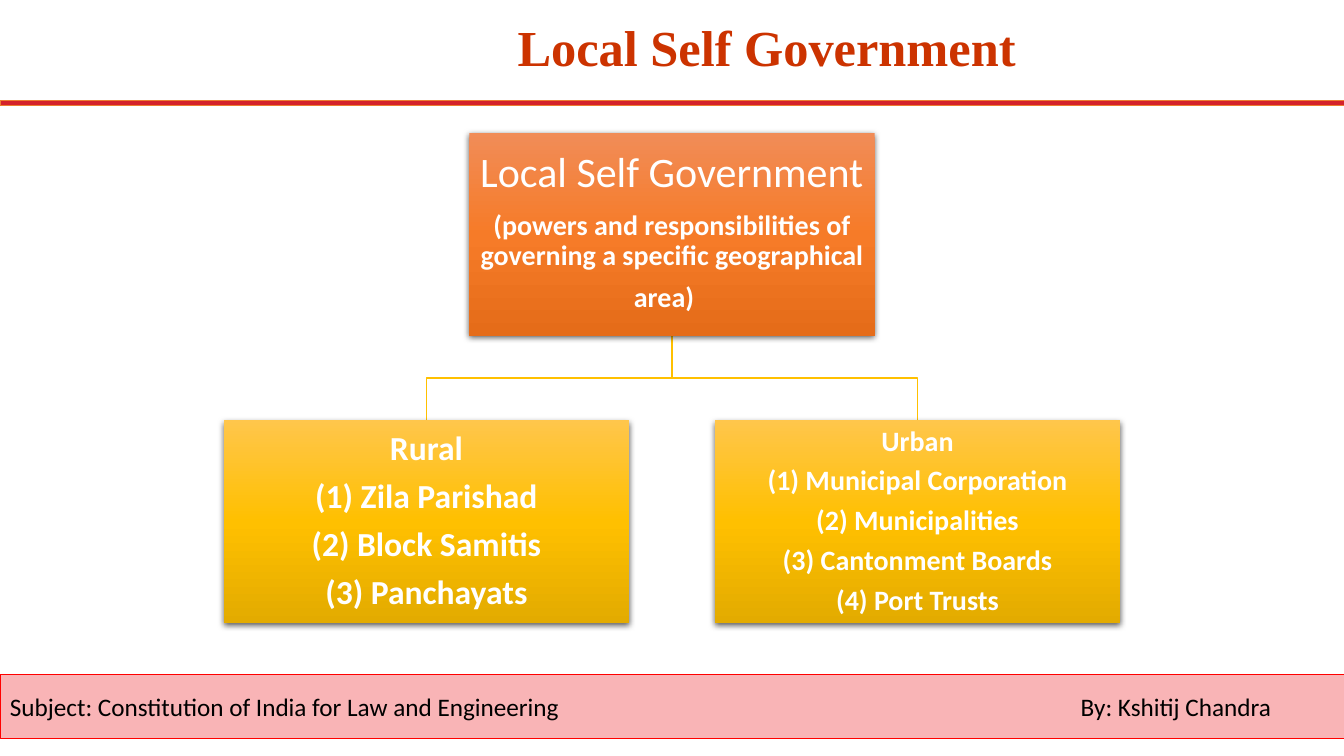
from copy import deepcopy

from lxml import etree
from pptx import Presentation
from pptx.dml.color import RGBColor
from pptx.enum.shapes import MSO_SHAPE
from pptx.enum.text import MSO_ANCHOR, MSO_AUTO_SIZE, PP_ALIGN
from pptx.oxml.ns import qn
from pptx.util import Inches, Pt

RECTANGLE = MSO_SHAPE.RECTANGLE
MIDDLE = MSO_ANCHOR.MIDDLE
NO_AUTOFIT = MSO_AUTO_SIZE.NONE
LEFT, CENTER = PP_ALIGN.LEFT, PP_ALIGN.CENTER

WHITE = RGBColor(0xFF, 0xFF, 0xFF)
BLACK = RGBColor(0x00, 0x00, 0x00)
TITLE_RED = RGBColor(0xCC, 0x33, 0x00)
RULE_RED = RGBColor(0xD4, 0x22, 0x2A)
RULE_EDGE = RGBColor(0xED, 0x7D, 0x31)
FOOTER_PINK = RGBColor(0xF9, 0xB4, 0xB6)
FOOTER_EDGE = RGBColor(0xFF, 0x00, 0x00)
GOLD = RGBColor(0xFF, 0xC0, 0x00)
ORANGE_SHADES = (RGBColor(0xF1, 0x8C, 0x57), RGBColor(0xF6, 0x7B, 0x28), RGBColor(0xE5, 0x6C, 0x19))
GOLD_SHADES = (RGBColor(0xFF, 0xC6, 0x4B), GOLD, RGBColor(0xE3, 0xAB, 0x00))

CARD_WIDTH, CARD_HEIGHT = 30.16, 26.8
ROOT_TOP, BRANCH_TOP = 17.6, 55.6
ROOT_CENTER, RURAL_CENTER, URBAN_CENTER = 50, 31.73, 68.27


class HierarchySlide:
    """Draws the slide's elements, with lengths as percentages of the slide's size."""

    def __init__(self, presentation):
        self.width = presentation.slide_width
        self.height = presentation.slide_height
        self.font = "Calibri"
        self.slide = presentation.slides.add_slide(presentation.slide_layouts[5])

    def across(self, share):
        return round(self.width * share / 100)

    def down(self, share):
        return round(self.height * share / 100)

    def box(self, left, top, width, height):
        return self.across(left), self.down(top), self.across(width), self.down(height)

    def format_paragraph(self, paragraph, size, color, bold=False, align=CENTER, font=None):
        paragraph.alignment = align
        for run in paragraph.runs:
            run.font.name = font or self.font
            run.font.size = Pt(size)
            run.font.bold = bold
            run.font.color.rgb = color

    def title(self, text, left, top, width, height):
        shape = self.slide.shapes.title
        shape.left, shape.top, shape.width, shape.height = self.box(left, top, width, height)
        frame = shape.text_frame
        frame.text = text
        frame.auto_size = NO_AUTOFIT
        frame.vertical_anchor = MIDDLE
        frame.paragraphs[0].line_spacing = 0.9
        self.format_paragraph(frame.paragraphs[0], 36, TITLE_RED, True, font="Times New Roman")

    def band(self, top, height, fill, edge):
        shape = self.slide.shapes.add_shape(RECTANGLE, *self.box(0, top, 100, height))
        shape.shadow.inherit = False
        shape.fill.solid()
        shape.fill.fore_color.rgb = fill
        shape.line.color.rgb = edge
        shape.line.width = Pt(0.5)
        return shape

    def footer(self, subject, author, top, height, author_inches):
        frame = self.band(top, height, FOOTER_PINK, FOOTER_EDGE).text_frame
        frame.vertical_anchor = MIDDLE
        paragraph = frame.paragraphs[0]
        paragraph.text = f"{subject}\t{author}"
        properties = paragraph._p.get_or_add_pPr()
        tabs = etree.SubElement(properties, qn("a:tabLst"))
        etree.SubElement(tabs, qn("a:tab"), pos=str(Inches(author_inches)), algn="l")
        self.format_paragraph(paragraph, 18, BLACK, align=LEFT)

    def branch(self, start, end):
        start_x, end_x = self.across(start), self.across(end)
        start_y, end_y = self.down(ROOT_TOP + CARD_HEIGHT), self.down(BRANCH_TOP)
        middle_y = (start_y + end_y) // 2
        builder = self.slide.shapes.build_freeform(start_x, start_y)
        builder.add_line_segments([(start_x, middle_y), (end_x, middle_y), (end_x, end_y)], close=False)
        shape = builder.convert_to_shape()
        shape.shadow.inherit = False
        shape.fill.background()
        shape.line.color.rgb = GOLD
        shape.line.width = Pt(1)

    def shade(self, shape, shades):
        shape.fill.gradient()
        shape.fill.gradient_angle = 270
        first = shape._element.spPr.find(".//" + qn("a:gs"))
        first.addnext(deepcopy(first))
        for index, (stop, color) in enumerate(zip(shape.fill.gradient_stops, shades)):
            stop.position = index / 2
            stop.color.rgb = color

    def cast_shadow(self, shape):
        shape.shadow.inherit = False
        effects = shape._element.spPr.find(qn("a:effectLst"))
        shadow = etree.SubElement(effects, qn("a:outerShdw"), blurRad=str(Pt(4.5)),
                                  dist=str(Pt(1.5)), dir="5400000", rotWithShape="0")
        color = etree.SubElement(shadow, qn("a:srgbClr"), val="000000")
        etree.SubElement(color, qn("a:alpha"), val="63000")

    def card(self, center, top, shades, lines, inset=0.02):
        """Add a card whose lines are (text, size, bold) and return its text frame."""
        area = self.box(center - CARD_WIDTH / 2, top, CARD_WIDTH, CARD_HEIGHT)
        shape = self.slide.shapes.add_shape(RECTANGLE, *area)
        self.shade(shape, shades)
        shape.line.fill.background()
        self.cast_shadow(shape)
        frame = shape.text_frame
        frame.word_wrap = True
        frame.vertical_anchor = MIDDLE
        frame.margin_left = frame.margin_right = Inches(inset)
        frame.margin_top = frame.margin_bottom = Inches(inset)
        frame.text = "\n".join(text for text, _, _ in lines)
        for paragraph, (_, size, bold) in zip(frame.paragraphs, lines):
            paragraph.line_spacing = 0.9
            paragraph.space_after = Pt(round(size * 0.34, 1))
            self.format_paragraph(paragraph, size, WHITE, bold)
        return frame


def main():
    presentation = Presentation()
    presentation.slide_width, presentation.slide_height = Inches(13.33), Inches(7.5)
    page = HierarchySlide(presentation)
    page.band(13.33, 0.67, RULE_RED, RULE_EDGE)
    page.title("Local Self Government", 18.83, 0.53, 76.44, 12.27)
    page.footer("Subject: Constitution of India for Law and Engineering",
                "By: Kshitij Chandra", 89.2, 8.53, 10.62)
    for center in (URBAN_CENTER, RURAL_CENTER):
        page.branch(ROOT_CENTER, center)

    root = page.card(ROOT_CENTER, ROOT_TOP, ORANGE_SHADES, [
        ("Local Self Government", 30, False),
        ("(powers and responsibilities of governing a specific geographical area) ", 20, True),
    ])
    tail = root.paragraphs[-1].add_run()
    tail.text = " "
    tail.font.size = Pt(30)

    rural = ("Rural", "(1) Zila Parishad", "(2) Block Samitis", "(3) Panchayats")
    urban = ("Urban", "(1) Municipal Corporation", "(2) Municipalities",
             "(3) Cantonment Boards", "(4) Port Trusts")
    page.card(RURAL_CENTER, BRANCH_TOP, GOLD_SHADES, [(text, 24, True) for text in rural])
    page.card(URBAN_CENTER, BRANCH_TOP, GOLD_SHADES, [(text, 20, True) for text in urban], 0.01)
    presentation.save("out.pptx")


if __name__ == "__main__":
    main()
